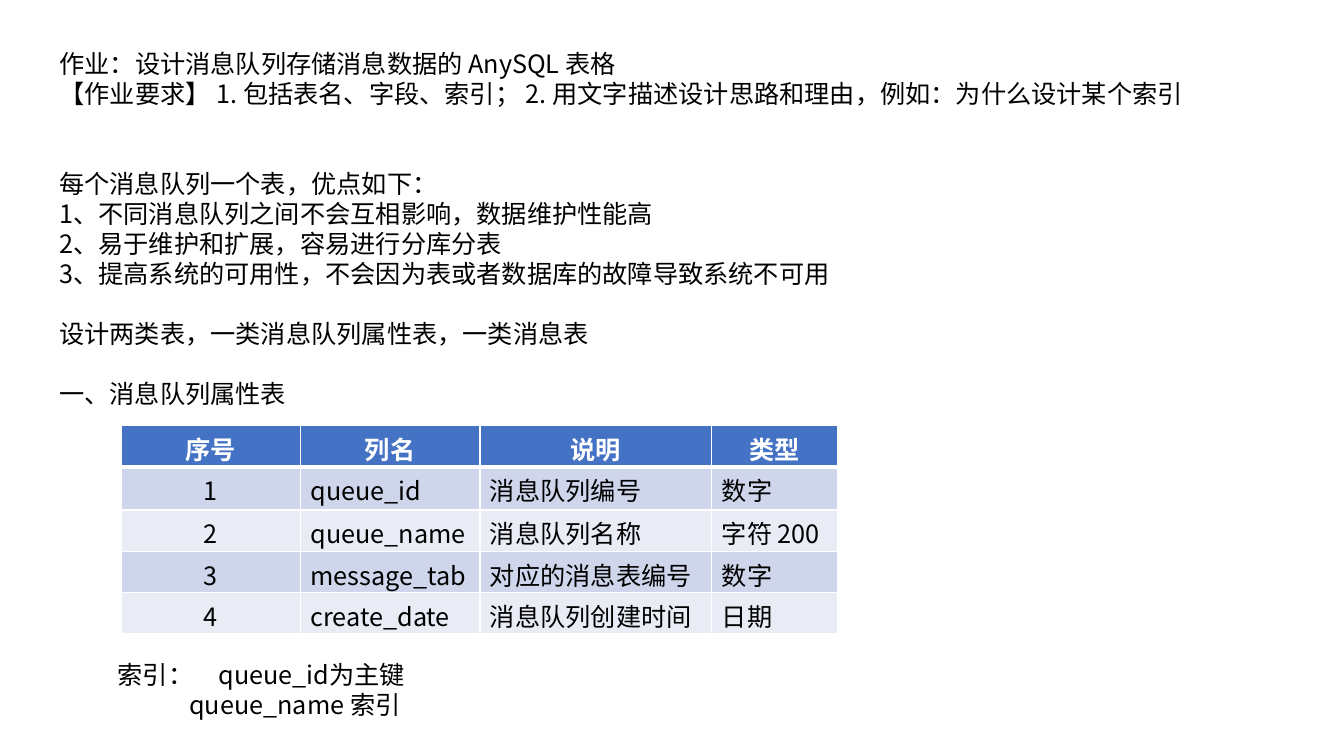
from pptx import Presentation
from pptx.dml.color import RGBColor
from pptx.enum.text import MSO_ANCHOR, MSO_AUTO_SIZE, PP_ALIGN
from pptx.oxml.ns import qn
from pptx.util import Inches, Pt
from lxml import etree

LEFT, CENTER = PP_ALIGN.LEFT, PP_ALIGN.CENTER
TOP = MSO_ANCHOR.TOP
NO_FIT = MSO_AUTO_SIZE.NONE

FONT = "Noto Sans CJK SC"
SIZE = 18
LINE = 21.5
COLORS = {
    "text": "000000",
    "white": "FFFFFF",
    "header": "4472C4",
    "odd_row": "CFD5EA",
    "even_row": "E9EBF5",
}

HEADING = [
    "作业：设计消息队列存储消息数据的 AnySQL 表格",
    "【作业要求】 1. 包括表名、字段、索引； 2. 用文字描述设计思路和理由，例如：为什么设计某个索引",
]
# Each entry is a paragraph and whether a line of space precedes it.
DESIGN = [
    ("每个消息队列一个表，优点如下：", False),
    ("1、不同消息队列之间不会互相影响，数据维护性能高", False),
    ("2、易于维护和扩展，容易进行分库分表", False),
    ("3、提高系统的可用性，不会因为表或者数据库的故障导致系统不可用", False),
    ("设计两类表，一类消息队列属性表，一类消息表", True),
    ("一、消息队列属性表", True),
]
QUEUE_COLUMNS = [
    ("序号", 1.78),
    ("列名", 1.78),
    ("说明", 2.3),
    ("类型", 1.25),
]
QUEUE_FIELDS = [
    ("queue_id", "消息队列编号", "数字"),
    ("queue_name", "消息队列名称", "字符 200"),
    ("message_tab", "对应的消息表编号", "数字"),
    ("create_date", "消息队列创建时间", "日期"),
]
ROW_HEIGHTS = [0.41, 0.43, 0.41, 0.41, 0.41]


def rgb(name):
    """Return a named colour."""
    return RGBColor.from_string(COLORS[name])


def write(frame, text, first=False, color="text", bold=False, align=LEFT,
          before=0, indent=0, tab=None):
    """Write one formatted paragraph, into the first one or a new one."""
    para = frame.paragraphs[0] if first else frame.add_paragraph()
    para.alignment = align
    para.line_spacing = Pt(LINE)
    para.space_before = Pt(before)
    props = para._p.get_or_add_pPr()
    props.set("marL", str(Inches(indent)))
    props.set("indent", "0")
    if tab:
        stops = etree.SubElement(props, qn("a:tabLst"))
        etree.SubElement(stops, qn("a:tab"), pos=str(Inches(tab)), algn="l")
    span = para.add_run()
    span.text = text
    span.font.name = FONT
    span.font.size = Pt(SIZE)
    span.font.bold = bold
    span.font.color.rgb = rgb(color)
    latin = span.font._element.find(qn("a:latin"))
    latin.addnext(etree.Element(qn("a:ea"), typeface=FONT))


def prepare(shape, left, top, width, height):
    """Place a text shape and return its wrapped, top-aligned frame."""
    shape.left, shape.top = Inches(left), Inches(top)
    shape.width, shape.height = Inches(width), Inches(height)
    frame = shape.text_frame
    frame.word_wrap = True
    frame.auto_size = NO_FIT
    frame.vertical_anchor = TOP
    frame.margin_left = frame.margin_right = Inches(0.1)
    frame.margin_top, frame.margin_bottom = Inches(0.07), Inches(0.03)
    return frame


def add_text_box(page, box):
    """Add an empty text box and return its frame."""
    return prepare(page.shapes.add_textbox(0, 0, 0, 0), *box)


def add_heading(page, box):
    """Fill the title with the assignment and its requirements."""
    frame = prepare(page.shapes.title, *box)
    for index, text in enumerate(HEADING):
        write(frame, text, first=index == 0)


def add_design(page, box):
    """Add the advantages and the outline of the tables."""
    frame = add_text_box(page, box)
    for index, (text, gap) in enumerate(DESIGN):
        write(frame, text, first=index == 0, before=LINE if gap else 0)


def set_borders(cell, top, bottom):
    """Draw white cell borders, with top and bottom widths in points."""
    props = cell._tc.get_or_add_tcPr()
    sides = [("L", 1), ("R", 1), ("T", top), ("B", bottom)]
    for index, (side, width) in enumerate(sides):
        line = etree.Element(qn("a:ln" + side), w=str(Pt(width)))
        fill = etree.SubElement(line, qn("a:solidFill"))
        etree.SubElement(fill, qn("a:srgbClr"), val=COLORS["white"])
        props.insert(index, line)


def add_queue_table(page, box):
    """Add the table of message queue attributes."""
    rows = [[name for name, _ in QUEUE_COLUMNS]]
    rows += [(str(number), *field)
             for number, field in enumerate(QUEUE_FIELDS, 1)]
    table = page.shapes.add_table(
        len(rows), len(QUEUE_COLUMNS), *map(Inches, box)).table
    for column, (_, width) in zip(table.columns, QUEUE_COLUMNS):
        column.width = Inches(width)
    for r, values in enumerate(rows):
        table.rows[r].height = Inches(ROW_HEIGHTS[r])
        header = r == 0
        shade = "header" if header else "odd_row" if r % 2 else "even_row"
        for c, text in enumerate(values):
            cell = table.cell(r, c)
            cell.margin_top, cell.margin_bottom = Inches(0.11), 0
            cell.fill.solid()
            cell.fill.fore_color.rgb = rgb(shade)
            set_borders(cell, 3 if r == 1 else 1, 3 if header else 1)
            write(cell.text_frame, text, first=True, bold=header,
                  color="white" if header else "text",
                  align=CENTER if header or c == 0 else LEFT)


def add_indexes(page, box):
    """Add the notes on the table's indexes."""
    frame = add_text_box(page, box)
    write(frame, "索引：\tqueue_id为主键", first=True, tab=0.91)
    write(frame, "queue_name 索引", indent=0.71)


def build():
    """Build and save the deck."""
    deck = Presentation()
    deck.slide_width, deck.slide_height = Inches(13.33), Inches(7.5)
    page = deck.slides.add_slide(deck.slide_layouts.get_by_name("Title Only"))
    add_heading(page, (0.49, 0.41, 11.39, 1.0))
    add_design(page, (0.49, 1.6, 11.39, 2.5))
    add_queue_table(page, (1.2, 4.22, 7.11, 2.07))
    add_indexes(page, (1.07, 6.47, 6.67, 0.71))
    deck.save("out.pptx")


build()
